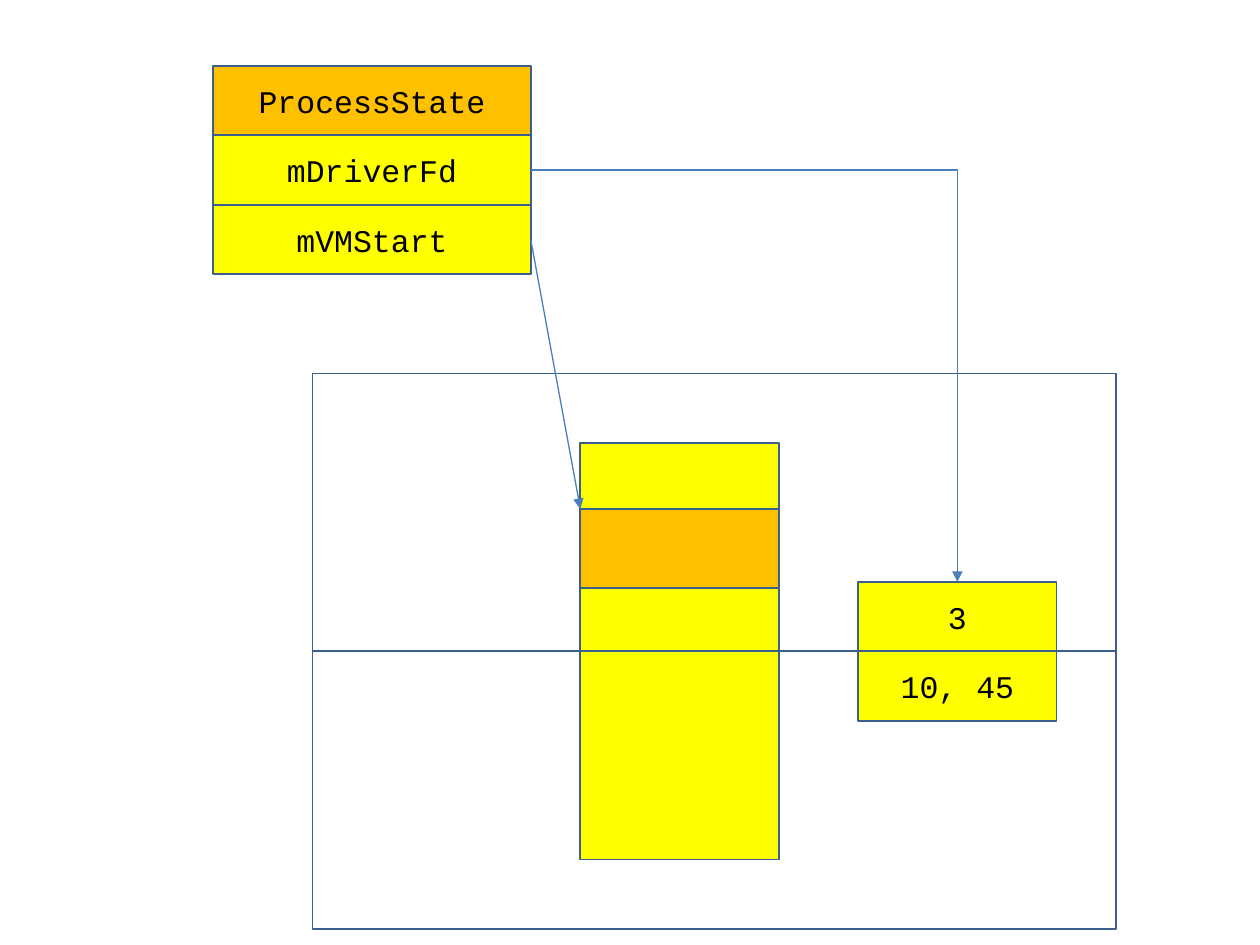
from dataclasses import dataclass
from typing import Optional

from lxml.etree import SubElement
from pptx import Presentation
from pptx.dml.color import RGBColor
from pptx.enum.shapes import MSO_CONNECTOR as Link, MSO_SHAPE as Shape
from pptx.enum.text import MSO_ANCHOR as Anchor, PP_ALIGN as Align
from pptx.oxml.ns import qn
from pptx.shapes.autoshape import Shape as Box
from pptx.shapes.connector import Connector
from pptx.slide import Slide
from pptx.util import Cm, Inches, Length, Pt


@dataclass(frozen=True)
class Theme:
    orange: RGBColor = RGBColor(0xFF, 0xC0, 0x00)
    yellow: RGBColor = RGBColor(0xFF, 0xFF, 0x00)
    border: RGBColor = RGBColor(0x3A, 0x5F, 0x8C)
    arrow: RGBColor = RGBColor(0x4B, 0x7E, 0xBC)
    ink: RGBColor = RGBColor(0x00, 0x00, 0x00)
    font: str = "Courier New"
    text_size: Length = Pt(18)
    border_width: Length = Pt(1)
    arrow_width: Length = Pt(0.75)


@dataclass(frozen=True)
class Grid:
    left: Length = Cm(2.3)
    top: Length = Cm(0.53)
    column: Length = Cm(2)
    row: Length = Cm(1.4)

    def x(self, column: float) -> int:
        return round(self.left + column * self.column)

    def y(self, row: float) -> int:
        return round(self.top + row * self.row)


@dataclass(frozen=True)
class Cell:
    fill: Optional[RGBColor] = None
    label: str = ""


@dataclass(frozen=True)
class Stack:
    column: float
    row: float
    columns: float
    rows: float
    cells: tuple[Cell, ...]


THEME = Theme()
GRID = Grid()

PROCESS_STATE = Stack(1, 0.57, 3.2, 1, (
    Cell(THEME.orange, "ProcessState"),
    Cell(THEME.yellow, "mDriverFd"),
    Cell(THEME.yellow, "mVMStart"),
))
SPACES = Stack(2, 5, 8.1, 4, (Cell(), Cell()))
DRIVER = Stack(7.5, 8, 2, 1, (
    Cell(THEME.yellow, "3"),
    Cell(THEME.yellow, "10, 45"),
))
MEMORY = Stack(4.7, 6, 2, 3, (Cell(THEME.yellow), Cell(THEME.yellow)))
MAPPING = Stack(4.7, 6.95, 2, 1.14, (Cell(THEME.orange),))


def write_label(box: Box, label: str) -> None:
    frame = box.text_frame
    frame.word_wrap = True
    frame.vertical_anchor = Anchor.MIDDLE
    para = frame.paragraphs[0]
    para.alignment = Align.CENTER
    span = para.add_run()
    span.text = label
    span.font.name = THEME.font
    span.font.size = THEME.text_size
    span.font.color.rgb = THEME.ink


def draw_cell(page: Slide, stack: Stack, index: int, cell: Cell) -> Box:
    top = GRID.y(stack.row + index * stack.rows)
    box = page.shapes.add_shape(
        Shape.RECTANGLE, GRID.x(stack.column), top,
        round(stack.columns * GRID.column), round(stack.rows * GRID.row),
    )
    box.shadow.inherit = False
    if cell.fill is None:
        box.fill.background()
    else:
        box.fill.solid()
        box.fill.fore_color.rgb = cell.fill
    box.line.color.rgb = THEME.border
    box.line.width = THEME.border_width
    if cell.label:
        write_label(box, cell.label)
    return box


def draw_stack(page: Slide, stack: Stack) -> list[Box]:
    return [draw_cell(page, stack, index, cell) for index, cell in enumerate(stack.cells)]


def draw_arrow(page: Slide, kind: Link, source: Box, end_x: int, end_y: int) -> Connector:
    arrow = page.shapes.add_connector(kind, 0, 0, end_x, end_y)
    arrow.begin_connect(source, 3)
    arrow.line.color.rgb = THEME.arrow
    arrow.line.width = THEME.arrow_width
    SubElement(arrow.line._get_or_add_ln(), qn("a:tailEnd"), type="triangle")
    SubElement(arrow._element.spPr, qn("a:effectLst"))
    return arrow


def main() -> None:
    deck = Presentation()
    deck.slide_width, deck.slide_height = Inches(10), Inches(7.5)
    page = deck.slides.add_slide(deck.slide_layouts[6])

    _, driver_field, start_field = draw_stack(page, PROCESS_STATE)
    draw_stack(page, SPACES)
    descriptor, _ = draw_stack(page, DRIVER)
    draw_stack(page, MEMORY)
    mapping, = draw_stack(page, MAPPING)

    driver_arrow = draw_arrow(
        page, Link.ELBOW, driver_field,
        descriptor.left + descriptor.width // 2, descriptor.top,
    )
    driver_arrow.end_connect(descriptor, 0)
    driver_arrow._element.spPr.find(qn("a:prstGeom")).set("prst", "bentConnector2")
    draw_arrow(page, Link.STRAIGHT, start_field, mapping.left, mapping.top)

    deck.save("out.pptx")


if __name__ == "__main__":
    main()
